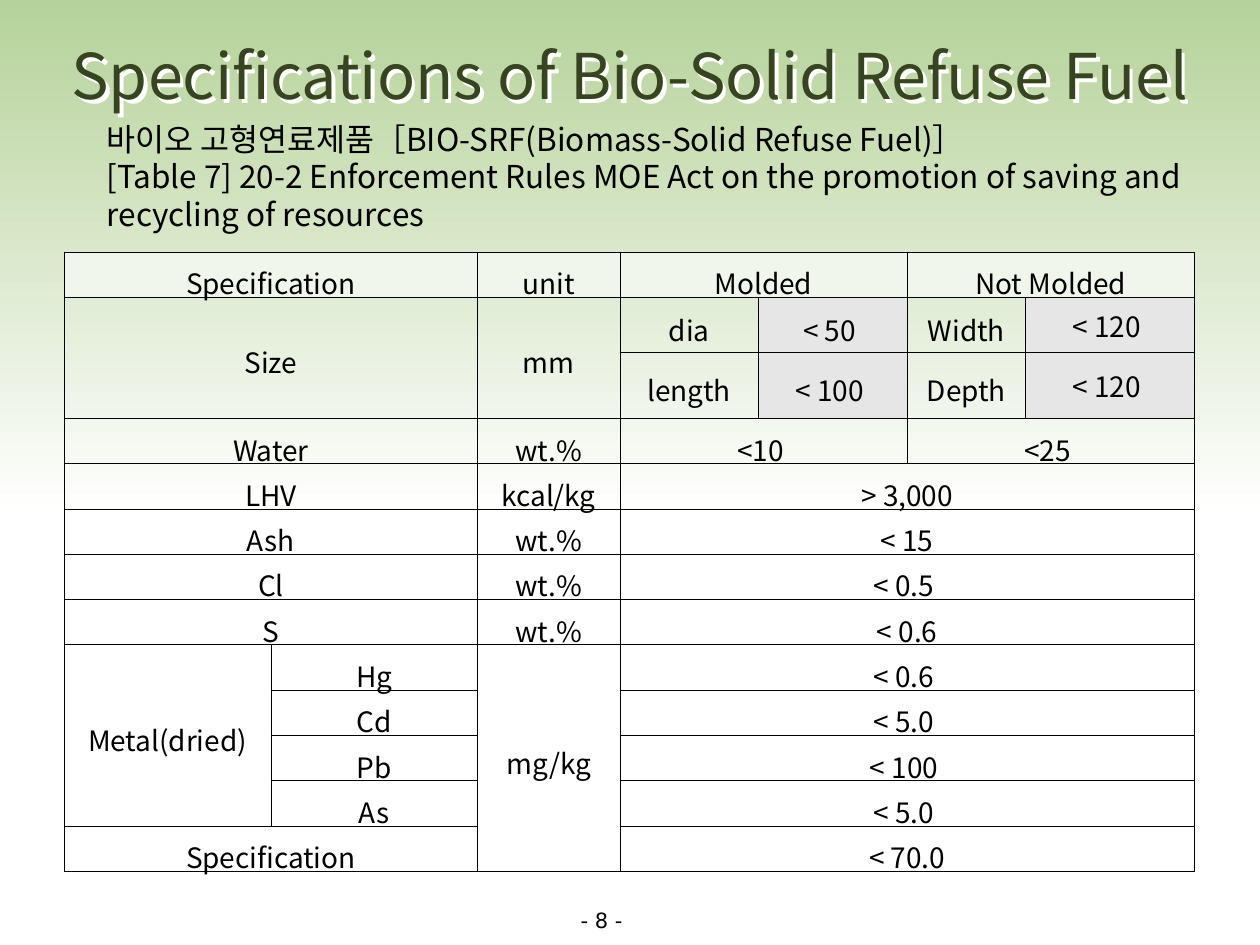
from lxml import etree
from pptx import Presentation
from pptx.dml.color import RGBColor
from pptx.enum.shapes import MSO_SHAPE
from pptx.enum.text import MSO_ANCHOR, PP_ALIGN
from pptx.oxml import parse_xml
from pptx.oxml.ns import nsdecls, qn
from pptx.util import Inches, Pt

RECT = MSO_SHAPE.RECTANGLE
TOP, MIDDLE = MSO_ANCHOR.TOP, MSO_ANCHOR.MIDDLE
LEFT, CENTER = PP_ALIGN.LEFT, PP_ALIGN.CENTER

FONT, NUMBER_FONT = "Noto Sans CJK KR", "DejaVu Sans"
BLACK, TITLE_GREEN = "000000", "374420"
GRADIENT = ["B6D29A", "FFFFFF"]
HEADER, GREY = "F0F6EB", "E6E6E6"

TEXTS = [
    ((3.61, 7.15, 2.33, 0.35), ["- 8 -"], NUMBER_FONT, 12, BLACK, CENTER, TOP),
    ((0, 0.28, 10, 0.62), ["Specifications of Bio-Solid Refuse Fuel"],
     FONT, 36, TITLE_GREEN, CENTER, MIDDLE),
    ((0.75, 0.9, 8.9, 1.01),
     ["바이오 고형연료제품［BIO-SRF(Biomass-Solid Refuse Fuel)］",
      "[Table 7] 20-2 Enforcement Rules MOE Act on the promotion of saving and "
      "recycling of resources"],
     FONT, 18, BLACK, LEFT, TOP),
]
TITLE_INDEX = 1

COLS = [1.64, 1.64, 1.13, 1.1, 1.18, 0.94, 1.34]
ROWS = [0.3, 0.44, 0.52] + [0.34] * 3 + [0.3] * 5 + [0.32] * 2
CELLS = [
    ["Specification", None, "unit", "Molded", None, "Not Molded", None],
    ["Size", None, "mm", "dia", "< 50 ", "Width", "< 120 "],
    [None, None, None, "length", "< 100 ", "Depth", "< 120 "],
    ["Water", None, "wt.%", "<10 ", None, "<25 ", None],
    ["LHV", None, "kcal/kg", "> 3,000"],
    ["Ash", None, "wt.%", "< 15"],
    ["Cl", None, "wt.%", "< 0.5 "],
    ["S", None, "wt.%", "< 0.6"],
    ["Metal(dried)", "Hg", "mg/kg", "< 0.6 "],
    [None, "Cd", None, "< 5.0 "],
    [None, "Pb", None, "< 100 "],
    [None, "As", None, "< 5.0 "],
    ["Specification", None, None, "< 70.0"],
]
MERGES = [(0, 0, 0, 1), (0, 3, 0, 4), (0, 5, 0, 6), (1, 0, 2, 1), (1, 2, 2, 2),
          (3, 0, 3, 1), (3, 3, 3, 4), (3, 5, 3, 6), (8, 0, 11, 0), (8, 2, 12, 2),
          (12, 0, 12, 1)]
MERGES += [(r, 0, r, 1) for r in range(4, 8)]
MERGES += [(r, 3, r, 6) for r in range(4, 13)]
FILLS = {(0, c): HEADER for c in range(7)}
FILLS |= {(r, c): GREY for r in (1, 2) for c in (4, 6)}
SINGLE_SPACED = [(1, 6), (2, 6)]
CELL_FORMAT = {"vertical_anchor": MIDDLE,
               "margin_left": Inches(0.07), "margin_right": Inches(0.07),
               "margin_top": Inches(0.02), "margin_bottom": Inches(0.02)}


def rgb(value):
    return RGBColor.from_string(value)


def write(p, text, font, size, color, align):
    p.alignment = align
    r = p.add_run()
    r.text = text
    for name, value in {"name": font, "size": Pt(size)}.items():
        setattr(r.font, name, value)
    r.font.color.rgb = rgb(color)
    etree.SubElement(r.font._element, qn("a:ea")).set("typeface", font)


def add_text(s, box, lines, font, size, color, align, anchor):
    sp = s.shapes.add_textbox(*map(Inches, box))
    tf = sp.text_frame
    tf.word_wrap = True
    tf.vertical_anchor = anchor
    for i, line in enumerate(lines):
        p = tf.add_paragraph() if i else tf.paragraphs[0]
        write(p, line, font, size, color, align)
    return sp


def add_white_shadow(sp):
    sp._element.spPr.append(parse_xml(
        f'<a:effectLst {nsdecls("a")}><a:outerShdw dist="{Inches(0.04)}" dir="2700000" '
        'algn="ctr" rotWithShape="0"><a:srgbClr val="FFFFFF"/></a:outerShdw></a:effectLst>'))


def add_borders(cell):
    tcPr = cell._tc.get_or_add_tcPr()
    for i, side in enumerate("LRTB"):
        tcPr.insert(i, parse_xml(
            f'<a:ln{side} {nsdecls("a")} w="{Pt(0.28)}"><a:solidFill>'
            f'<a:srgbClr val="{BLACK}"/></a:solidFill></a:ln{side}>'))


def add_background(s):
    sp = s.shapes.add_shape(RECT, 0, 0, Inches(10), Inches(4.08))
    sp.shadow.inherit = False
    sp.line.fill.background()
    sp.fill.gradient()
    sp.fill.gradient_angle = 270
    for i, (stop, color) in enumerate(zip(sp.fill.gradient_stops, GRADIENT)):
        stop.position = i
        stop.color.rgb = rgb(color)


def add_spec_table(s):
    frame = s.shapes.add_table(len(ROWS), len(COLS), Inches(0.51), Inches(2),
                               Inches(sum(COLS)), Inches(sum(ROWS)))
    table = frame.table
    table.first_row = table.horz_banding = False
    for col, width in zip(table.columns, COLS):
        col.width = Inches(width)
    for row, height in zip(table.rows, ROWS):
        row.height = Inches(height)
    for top, left, bottom, right in MERGES:
        table.cell(top, left).merge(table.cell(bottom, right))
    for r in range(len(ROWS)):
        for c in range(len(COLS)):
            cell = table.cell(r, c)
            for name, value in CELL_FORMAT.items():
                setattr(cell, name, value)
            if (r, c) in FILLS:
                cell.fill.solid()
                cell.fill.fore_color.rgb = rgb(FILLS[r, c])
            else:
                cell.fill.background()
            add_borders(cell)
            text = CELLS[r][c] if c < len(CELLS[r]) else None
            if text:
                p = cell.text_frame.paragraphs[0]
                p.line_spacing = 1.0 if (r, c) in SINGLE_SPACED else 1.2
                write(p, text, FONT, 16, BLACK, CENTER)


def main():
    prs = Presentation()
    prs.slide_width, prs.slide_height = Inches(10), Inches(7.5)
    s = prs.slides.add_slide(prs.slide_layouts[6])
    add_background(s)
    boxes = [add_text(s, *spec_text) for spec_text in TEXTS]
    add_white_shadow(boxes[TITLE_INDEX])
    add_spec_table(s)
    prs.save("out.pptx")


if __name__ == "__main__":
    main()
